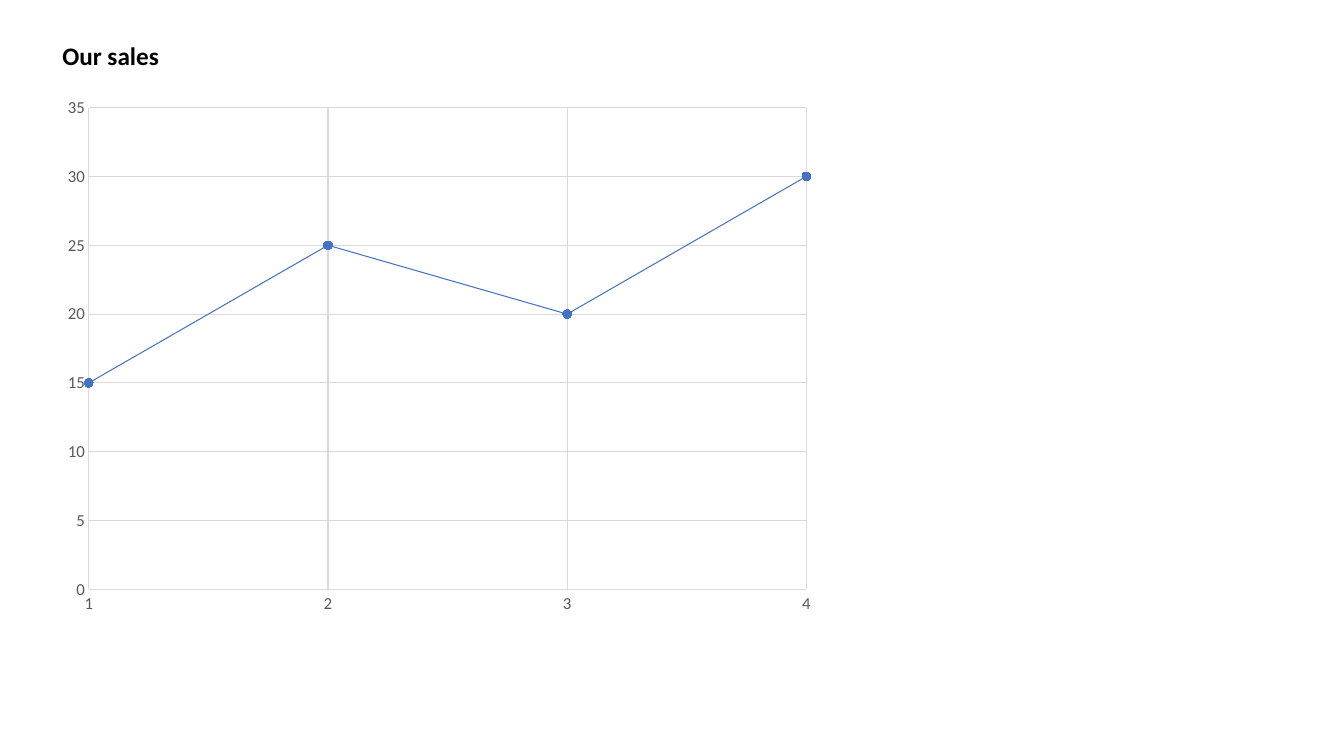
from lxml import etree
from pptx import Presentation
from pptx import util as u
from pptx.chart.data import XyChartData
from pptx.dml.color import RGBColor
from pptx.enum import chart as ch
from pptx.enum import text as t
from pptx.oxml import ns

BLACK = RGBColor(0x00, 0x00, 0x00)
GREY = RGBColor(0x59, 0x59, 0x59)
PALE = RGBColor(0xD9, 0xD9, 0xD9)
BLUE = RGBColor(0x44, 0x72, 0xC4)
MARKER_BLUE = RGBColor(0x3E, 0x70, 0xCA)
FONT = "Calibri"
SALES = [15, 25, 20, 30]
PLOT_SHARES = {"x": 0.047, "y": 0.039, "w": 0.928, "h": 0.897}


def style_font(font, size, color, bold=False):
    font.name = FONT
    font.size = u.Pt(size)
    font.color.rgb = color
    font.bold = bold


def style_line(line, color, width):
    line.color.rgb = color
    line.width = u.Pt(width)


def add_heading(slide, box, wording):
    heading = slide.shapes.add_textbox(*box).text_frame
    heading.word_wrap = False
    heading.auto_size = t.MSO_AUTO_SIZE.SHAPE_TO_FIT_TEXT
    heading.text = wording
    style_font(heading.paragraphs[0].runs[0].font, 18, BLACK, True)


def place_plot(chart):
    plot_area = chart.element.find(".//" + ns.qn("c:plotArea"))
    for old in plot_area.findall(ns.qn("c:layout")):
        plot_area.remove(old)
    layout = etree.Element(ns.qn("c:layout"))
    manual = etree.SubElement(layout, ns.qn("c:manualLayout"))
    settings = {"layoutTarget": "inner", "xMode": "edge", "yMode": "edge", **PLOT_SHARES}
    for tag, value in settings.items():
        etree.SubElement(manual, ns.qn("c:" + tag)).set("val", str(value))
    plot_area.insert(0, layout)


def style_axis(axis, low, high, step):
    axis.minimum_scale, axis.maximum_scale, axis.major_unit = low, high, step
    axis.major_tick_mark = axis.minor_tick_mark = ch.XL_TICK_MARK.NONE
    axis.has_major_gridlines = True
    style_line(axis.major_gridlines.format.line, PALE, 0.75)
    axis.tick_labels.number_format = "#,##0"
    axis.tick_labels.number_format_is_linked = False
    style_font(axis.tick_labels.font, 12, GREY)


def add_sales_chart(slide, box):
    sales_data = XyChartData()
    points = sales_data.add_series("Series 1")
    for period, sales in enumerate(SALES, 1):
        points.add_data_point(period, sales)
    chart = slide.shapes.add_chart(ch.XL_CHART_TYPE.XY_SCATTER_SMOOTH, *box, sales_data).chart
    chart.has_title = False
    chart.has_legend = False
    style_font(chart.font, 10, BLACK)
    chart.plots[0].vary_by_categories = False
    style_axis(chart.category_axis, 1, len(SALES), 1)
    style_line(chart.category_axis.format.line, PALE, 1)
    style_axis(chart.value_axis, 0, 35, 5)
    chart.value_axis.format.line.fill.background()

    curve = chart.plots[0].series[0]
    style_line(curve.format.line, BLUE, 0.75)
    curve.marker.style = ch.XL_MARKER_STYLE.CIRCLE
    curve.marker.size = 6
    curve.marker.format.fill.solid()
    curve.marker.format.fill.fore_color.rgb = MARKER_BLUE
    style_line(curve.marker.format.line, MARKER_BLUE, 0.75)
    place_plot(chart)


def add_sales_slide(deck):
    slide = deck.slides.add_slide(deck.slide_layouts[6])
    left = u.Inches(0.52)
    add_heading(slide, (left, u.Inches(0.35), u.Inches(1.17), u.Inches(0.4)), "Our sales")
    add_sales_chart(slide, (left, u.Inches(0.86), u.Inches(7.67), u.Inches(5.33)))


def main():
    deck = Presentation()
    deck.slide_width = u.Inches(13.33)
    deck.slide_height = u.Inches(7.5)
    add_sales_slide(deck)
    deck.save("out.pptx")


if __name__ == "__main__":
    main()
